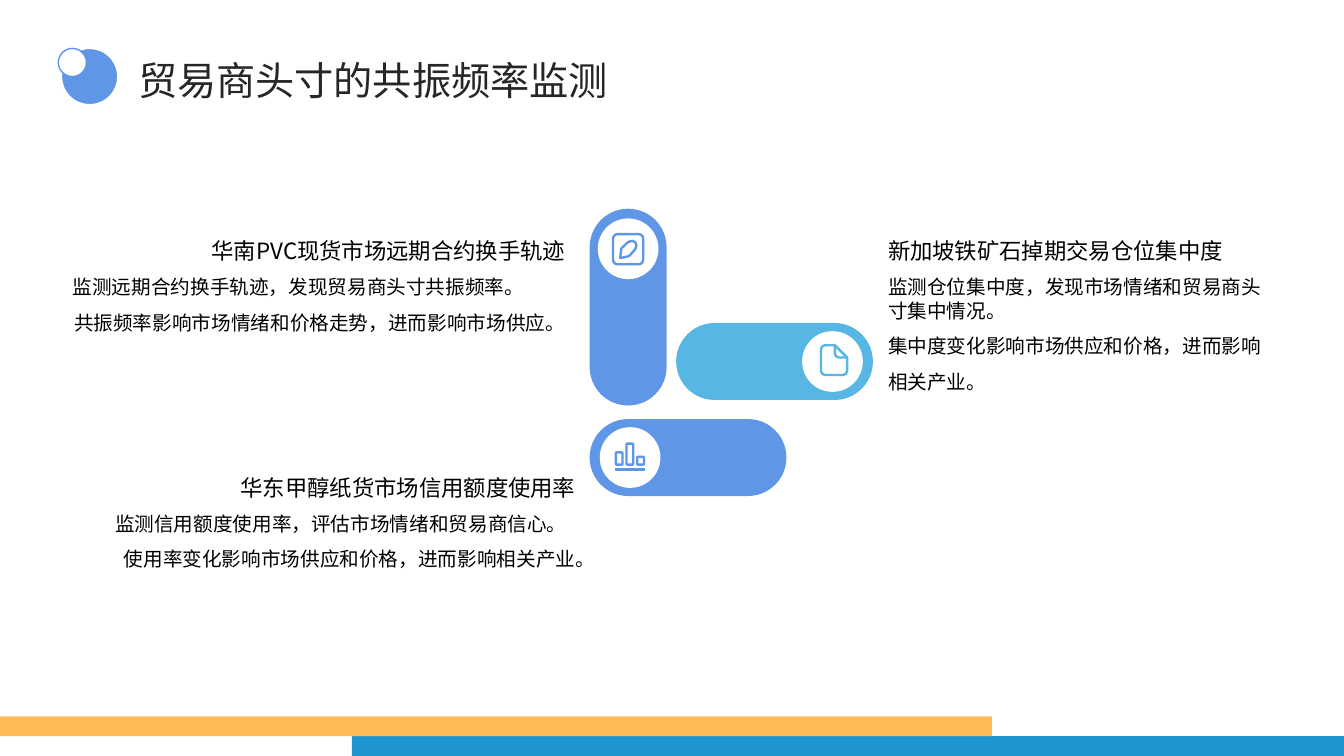
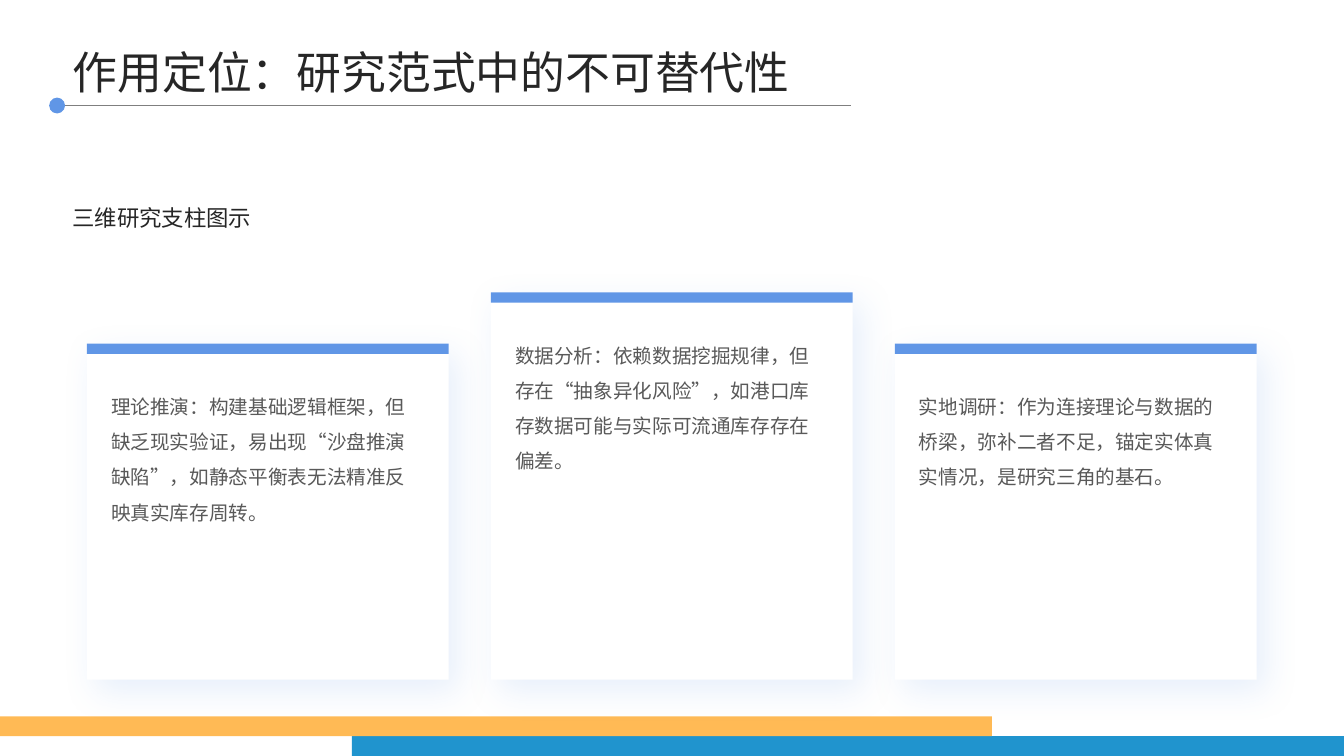
"""Build two slides on trader position monitoring and the research pillars."""
from dataclasses import dataclass
from typing import Callable, Optional

from lxml import etree
from pptx import Presentation
from pptx.dml.color import RGBColor
from pptx.enum.lang import MSO_LANGUAGE_ID
from pptx.enum.shapes import MSO_CONNECTOR, MSO_SHAPE
from pptx.enum.text import MSO_ANCHOR, MSO_AUTO_SIZE, PP_ALIGN
from pptx.oxml.ns import qn
from pptx.util import Cm, Pt

RECT, OVAL, ROUND = MSO_SHAPE.RECTANGLE, MSO_SHAPE.OVAL, MSO_SHAPE.ROUNDED_RECTANGLE
STRAIGHT = MSO_CONNECTOR.STRAIGHT
LEFT, RIGHT = PP_ALIGN.LEFT, PP_ALIGN.RIGHT
TOP, MIDDLE, BOTTOM = MSO_ANCHOR.TOP, MSO_ANCHOR.MIDDLE, MSO_ANCHOR.BOTTOM
NO_FIT = MSO_AUTO_SIZE.NONE
CHINESE = MSO_LANGUAGE_ID.SIMPLIFIED_CHINESE
TITLE_ONLY = 5


@dataclass(frozen=True)
class Theme:
    font: str = "Noto Sans CJK SC"
    blue: str = "6096E6"
    sky: str = "58B6E5"
    band_blue: str = "2094CE"
    band_orange: str = "FFBA55"
    white: str = "FFFFFF"
    black: str = "000000"
    title: str = "262626"
    text: str = "595959"
    rule: str = "7F7F7F"
    heading_pt: float = 16
    body_pt: float = 14
    icon_pt: float = 1.7


@dataclass(frozen=True)
class Box:
    x: float
    y: float
    w: float
    h: float

    def emu(self) -> tuple:
        return Cm(self.x), Cm(self.y), Cm(self.w), Cm(self.h)


@dataclass(frozen=True)
class Line:
    text: str
    size: float
    color: str
    spacing: float = 1.0
    align: PP_ALIGN = LEFT


@dataclass(frozen=True)
class Pill:
    box: Box
    color: str
    badge: tuple
    icon: Callable


@dataclass(frozen=True)
class Note:
    x: float
    y: float
    w: float
    align: PP_ALIGN
    heading: str
    first: str
    second: str


@dataclass(frozen=True)
class Card:
    top: float
    text: str


THEME = Theme()


def rgb(color: str) -> RGBColor:
    return RGBColor.from_string(color)


def paint(sp, fill: Optional[str], line: Optional[str] = None, width: float = 1):
    """Set fill and outline and drop the shadow."""
    sp.shadow.inherit = False
    if fill:
        sp.fill.solid()
        sp.fill.fore_color.rgb = rgb(fill)
    else:
        sp.fill.background()
    if line:
        sp.line.color.rgb = rgb(line)
        sp.line.width = Pt(width)
    else:
        sp.line.fill.background()
    return sp


def add_shape(s, kind, box: Box, fill: Optional[str], line: Optional[str] = None, width: float = 1):
    return paint(s.shapes.add_shape(kind, *box.emu()), fill, line, width)


def add_round(s, box: Box, radius: float, fill: Optional[str], line: Optional[str] = None):
    sp = add_shape(s, ROUND, box, fill, line, THEME.icon_pt)
    sp.adjustments[0] = radius
    return sp


def add_line(s, x1: float, y1: float, x2: float, y2: float, color: str, width: float):
    """Add a straight line without a shadow."""
    ln = s.shapes.add_connector(STRAIGHT, Cm(x1), Cm(y1), Cm(x2), Cm(y2))
    ln.line.color.rgb = rgb(color)
    ln.line.width = Pt(width)
    etree.SubElement(ln.element.spPr, qn("a:effectLst"))


def add_outline(s, cx: float, cy: float, points: list, color: str, close: bool = True):
    """Stroke a path whose points are measured from a centre."""
    pts = [(Cm(cx + x), Cm(cy + y)) for x, y in points]
    fb = s.shapes.build_freeform(*pts[0])
    fb.add_line_segments(pts[1:], close=close)
    paint(fb.convert_to_shape(), None, color, THEME.icon_pt)


def soft_shadow(sp, color: str) -> None:
    """Give a shape a wide, faint tinted shadow."""
    effects = sp.element.spPr.find(qn("a:effectLst"))
    shadow = etree.SubElement(effects, qn("a:outerShdw"), blurRad=str(Pt(25)),
                              dist=str(Pt(10)), dir=str(50 * 60000), algn="ctr", rotWithShape="0")
    clr = etree.SubElement(shadow, qn("a:srgbClr"), val=color)
    etree.SubElement(clr, qn("a:alpha"), val="15000")


def write(sp, lines: list, anchor: MSO_ANCHOR) -> None:
    """Fill a text frame with one paragraph for each line."""
    tf = sp.text_frame
    tf.word_wrap = True
    tf.auto_size = NO_FIT
    tf.vertical_anchor = anchor
    tf.margin_left = tf.margin_right = tf.margin_top = tf.margin_bottom = 0
    for i, line in enumerate(lines):
        p = tf.add_paragraph() if i else tf.paragraphs[0]
        p.alignment, p.line_spacing = line.align, line.spacing
        r = p.add_run()
        r.text = line.text
        r.font.size, r.font.name = Pt(line.size), THEME.font
        r.font.color.rgb = rgb(line.color)
        r.font.language_id = CHINESE
        etree.SubElement(r.font._element, qn("a:ea"), typeface=THEME.font)


def add_text(s, box: Box, lines: list, anchor: MSO_ANCHOR = TOP) -> None:
    write(s.shapes.add_textbox(*box.emu()), lines, anchor)


def add_slide(prs, title: str, x: float, y: float, size: float):
    """Add a slide and set its title placeholder."""
    s = prs.slides.add_slide(prs.slide_layouts[TITLE_ONLY])
    sp = s.shapes.title
    sp.left, sp.top, sp.width, sp.height = Box(x, y, 30.18, 1.3).emu()
    write(sp, [Line(title, size, THEME.title, 1.1)], MIDDLE)
    return s


def add_master_bands(prs, s) -> None:
    """Draw the footer bands and move them to the slide master."""
    tree = prs.slide_master.shapes.element
    for x, y, color in ((8.87, 18.55, THEME.band_blue), (0, 18.05, THEME.band_orange)):
        tree.append(add_shape(s, RECT, Box(x, y, 25, 0.5), color).element)


def pen_icon(s, cx: float, cy: float, color: str) -> None:
    add_round(s, Box(cx - 0.38, cy - 0.37, 0.76, 0.76), 0.15, None, color)
    leaf = [(-0.2, 0.23), (-0.17, -0.01), (0, -0.17), (0.1, -0.2), (0.18, -0.17),
            (0.21, -0.08), (0.18, 0.01), (0.03, 0.18), (-0.08, 0.21)]
    add_outline(s, cx, cy, leaf, color)


def page_icon(s, cx: float, cy: float, color: str) -> None:
    sheet = [(0.06, -0.41), (0.37, -0.1), (0.37, 0.24), (0.34, 0.31), (0.27, 0.34), (-0.19, 0.34),
             (-0.26, 0.31), (-0.29, 0.24), (-0.29, -0.31), (-0.26, -0.38), (-0.19, -0.41)]
    fold = [(0.06, -0.41), (0.06, -0.2), (0.09, -0.13), (0.16, -0.1), (0.37, -0.1)]
    add_outline(s, cx, cy, sheet, color)
    add_outline(s, cx, cy, fold, color, close=False)


def bars_icon(s, cx: float, cy: float, color: str) -> None:
    for i, h in enumerate((0.31, 0.53, 0.2)):
        add_round(s, Box(cx - 0.36 + 0.27 * i, cy + 0.18 - h, 0.17, h), 0.15, None, color)
    add_line(s, cx - 0.39, cy + 0.31, cx + 0.37, cy + 0.31, color, 2)


def add_pill(s, pill: Pill) -> None:
    """Draw a pill with a white badge and its icon."""
    d = 1.53
    cx, cy = pill.badge
    add_round(s, pill.box, 0.5, pill.color)
    add_shape(s, OVAL, Box(cx - d / 2, cy - d / 2, d, d), THEME.white)
    pill.icon(s, cx, cy, pill.color)


def add_note(s, n: Note) -> None:
    """Write a heading with two lines of body text under it."""
    add_text(s, Box(n.x, n.y, n.w, 1.55),
             [Line(n.heading, THEME.heading_pt, THEME.black, 1.3, n.align)], BOTTOM)
    add_text(s, Box(n.x, n.y + 1.83, n.w, 3.15),
             [Line(n.first, THEME.body_pt, THEME.black),
              Line(n.second, THEME.body_pt, THEME.black, 1.5, n.align)])


def add_card(s, x: float, card: Card) -> None:
    """Draw a shadowed card with a blue top edge."""
    w, bottom = 9.12, 17.13
    soft_shadow(add_shape(s, RECT, Box(x, card.top, w, bottom - card.top), THEME.white), THEME.blue)
    add_shape(s, RECT, Box(x, card.top, w, 0.26), THEME.blue)
    add_text(s, Box(x + 0.61, card.top + 0.99, 7.67, 7.2),
             [Line(card.text, THEME.body_pt, THEME.text, 1.5)])


def build_positions(prs):
    s = add_slide(prs, "贸易商头寸的共振频率监测", 3.48, 1.3, 28)
    add_shape(s, OVAL, Box(1.55, 1.22, 1.42, 1.42), THEME.blue, THEME.white)
    add_shape(s, OVAL, Box(1.47, 1.22, 0.71, 0.71), THEME.white, THEME.blue)
    pills = [
        Pill(Box(14.86, 10.56, 4.96, 1.94), THEME.blue, (15.88, 11.53), bars_icon),
        Pill(Box(17.04, 8.14, 4.96, 1.94), THEME.sky, (20.98, 9.11), page_icon),
        Pill(Box(14.86, 5.26, 1.94, 4.96), THEME.blue, (15.83, 6.27), pen_icon),
    ]
    for pill in pills:
        add_pill(s, pill)
    notes = [
        Note(1.83, 5.11, 12.42, RIGHT, "华南PVC现货市场远期合约换手轨迹",
             "监测远期合约换手轨迹，发现贸易商头寸共振频率。",
             "共振频率影响市场情绪和价格走势，进而影响市场供应。"),
        Note(2.9, 11.07, 11.61, RIGHT, "华东甲醇纸货市场信用额度使用率",
             "监测信用额度使用率，评估市场情绪和贸易商信心。",
             "使用率变化影响市场供应和价格，进而影响相关产业。"),
        Note(22.38, 5.11, 9.65, LEFT, "新加坡铁矿石掉期交易仓位集中度",
             "监测仓位集中度，发现市场情绪和贸易商头寸集中情况。",
             "集中度变化影响市场供应和价格，进而影响相关产业。"),
    ]
    for note in notes:
        add_note(s, note)
    return s


def build_pillars(prs) -> None:
    s = add_slide(prs, "作用定位：研究范式中的不可替代性", 1.83, 1.09, 32)
    add_line(s, 1.42, 2.66, 21.44, 2.66, THEME.rule, 0.75)
    add_shape(s, OVAL, Box(1.24, 2.46, 0.4, 0.4), THEME.blue)
    add_text(s, Box(1.83, 4.62, 24.43, 1.5),
             [Line("三维研究支柱图示", THEME.heading_pt, THEME.title, 1.3)], MIDDLE)
    cards = [
        Card(8.66, "理论推演：构建基础逻辑框架，但缺乏现实验证，易出现“沙盘推演缺陷”，"
                   "如静态平衡表无法精准反映真实库存周转。"),
        Card(7.37, "数据分析：依赖数据挖掘规律，但存在“抽象异化风险”，"
                   "如港口库存数据可能与实际可流通库存存在偏差。"),
        Card(8.66, "实地调研：作为连接理论与数据的桥梁，弥补二者不足，"
                   "锚定实体真实情况，是研究三角的基石。"),
    ]
    for i, card in enumerate(cards):
        add_card(s, 2.19 + 10.18 * i, card)


def main() -> None:
    prs = Presentation()
    prs.slide_width, prs.slide_height = Cm(33.87), Cm(19.05)
    add_master_bands(prs, build_positions(prs))
    build_pillars(prs)
    prs.save("out.pptx")


if __name__ == "__main__":
    main()
